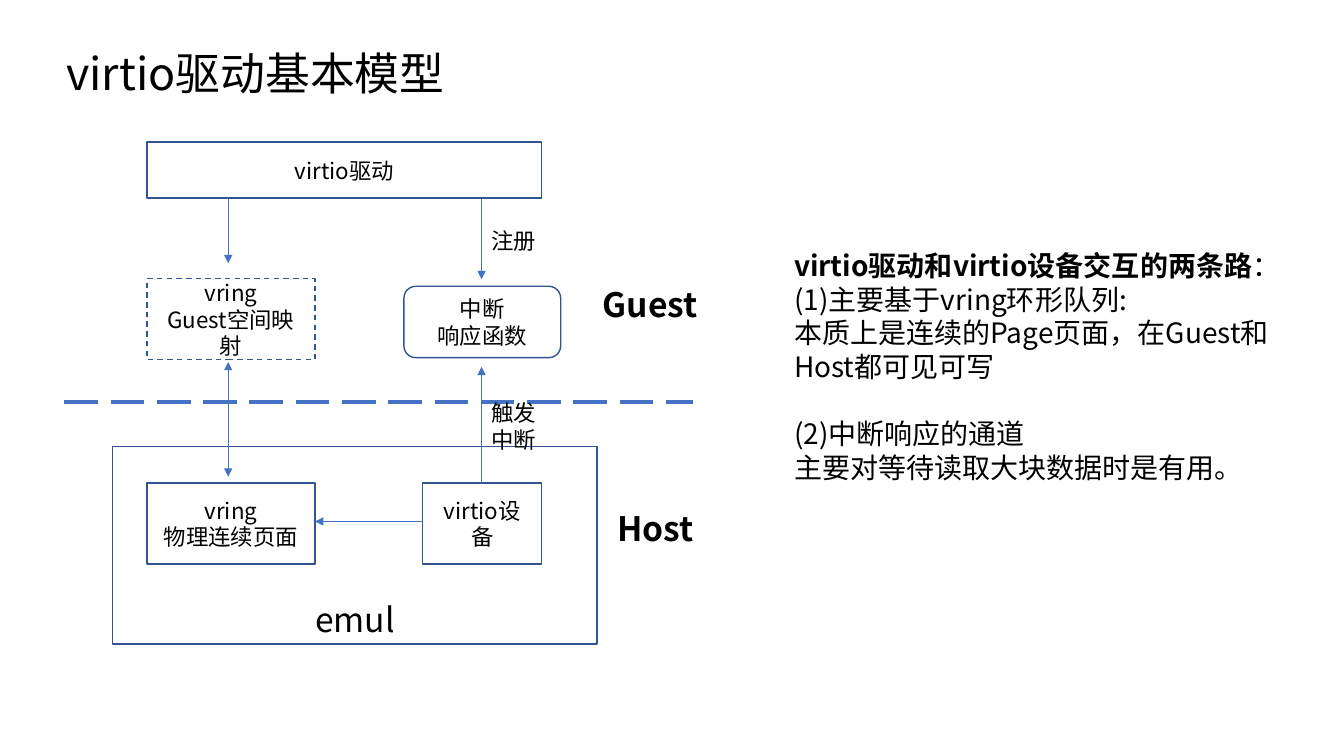
from pptx import Presentation
from pptx.dml.color import RGBColor
from pptx.enum.dml import MSO_LINE as Dash
from pptx.enum.shapes import MSO_CONNECTOR as Link, MSO_SHAPE as Kind
from pptx.enum.text import MSO_ANCHOR as Anchor, MSO_AUTO_SIZE as Fit, PP_ALIGN as Align
from pptx.oxml.ns import qn
from pptx.util import Pt
from lxml.etree import SubElement as Sub

FONT = "Noto Sans CJK SC"
BLACK, WHITE, EDGE, BLUE = "000000", "FFFFFF", "325491", "4472C4"
LEFT, RIGHT = 163, 344  # centre lines of the vring path and the interrupt path


def paint(color, code):
    color.rgb = RGBColor.from_string(code)


def write(shape, text, size, align=Align.LEFT, anchor=Anchor.TOP, bold=False):
    """Set the text of a shape and format every run; a bar splits runs."""
    frame = shape.text_frame
    frame.text = text
    frame.word_wrap = True
    frame.auto_size = Fit.NONE
    frame.vertical_anchor = anchor
    for par in frame.paragraphs:
        par.alignment = align
        par.space_before = Pt(0)
        first, *rest = par.text.split("|")
        par.text = first
        for part in rest:
            par.add_run().text = part
        for run in par.runs:
            run.font.size = Pt(size)
            run.font.bold = bold
            run.font.name = FONT
            paint(run.font.color, BLACK)
            Sub(run.font._element, qn("a:ea"), typeface=FONT)


deck = Presentation()
deck.slide_width, deck.slide_height = Pt(960), Pt(540)
slide = deck.slides.add_slide(deck.slide_layouts[1])
shapes = slide.shapes

# Title and explanation
title, body = slide.placeholders
places = [(title, 40, 29, 386, 46), (body, 560, 174, 381, 177)]
for shape, x, y, w, h in places:
    shape.left, shape.top, shape.width, shape.height = Pt(x), Pt(y), Pt(w), Pt(h)
write(title, "virtio驱动基本模型", 32)

lines = [
    "virtio驱动和virtio设备交互的两条路|：",
    "(1)主要基于vring环形队列:",
    "本质上是连续的Page页面，在Guest和Host都可见可写",
    "(2)中断响应的通道",
    "主要对等待读取大块数据时是有用。",
]
write(body, "\n".join(lines), 20)
pars = body.text_frame.paragraphs
for par in pars:
    props = par._p.get_or_add_pPr()
    props.set("marL", "0")
    props.set("indent", "0")
    Sub(props, qn("a:buNone"))
pars[0].runs[0].font.bold = True
pars[3].space_before = Pt(24)

# Boxes, from back to front
boxes = [
    ("emul", 80.5, 319, 346, 141, 24, Kind.RECTANGLE),
    ("virtio设备", 302, 345, 85, 58, 16, Kind.RECTANGLE),
    ("virtio驱动", 105, 101.5, 282, 40, 16, Kind.RECTANGLE),
    ("vring\n物理连续页面", 105, 345, 120, 58, 16, Kind.RECTANGLE),
    ("vring\nGuest空间映射", 105, 199, 120, 58, 16, Kind.RECTANGLE),
    ("中断\n响应函数", 288.5, 204.5, 112, 51, 16, Kind.ROUNDED_RECTANGLE),
]
for text, x, y, w, h, size, kind in boxes:
    box = shapes.add_shape(kind, Pt(x), Pt(y), Pt(w), Pt(h))
    box.shadow.inherit = False
    box.fill.solid()
    paint(box.fill.fore_color, WHITE)
    paint(box.line.color, EDGE)
    box.line.width = Pt(1)
    if "Guest" in text:
        box.line.dash_style = Dash.DASH
    anchor = Anchor.BOTTOM if size == 24 else Anchor.MIDDLE
    write(box, text, size, Align.CENTER, anchor)

# Arrows and the border between guest and host
links = [
    (LEFT, 258.5, LEFT, 340.5, ["headEnd", "tailEnd"]),
    (LEFT, 142, LEFT, 188, ["tailEnd"]),
    (302, 372.5, 225, 372.5, ["tailEnd"]),
    (RIGHT, 142, RIGHT, 199.5, ["tailEnd"]),
    (RIGHT, 345, RIGHT, 262, ["tailEnd"]),
    (46, 287, 495, 287, []),
]
for x1, y1, x2, y2, ends in links:
    link = shapes.add_connector(Link.STRAIGHT, Pt(x1), Pt(y1), Pt(x2), Pt(y2))
    paint(link.line.color, BLUE)
    link.line.width = Pt(0.5 if ends else 3)
    if not ends:
        link.line.dash_style = Dash.LONG_DASH
    for end in ends:
        Sub(link.line._get_or_add_ln(), qn("a:" + end), type="triangle")
    Sub(link._element.spPr, qn("a:effectLst"))

# Labels
labels = [
    ("Host", 418, 359, 100, 36, 24, Align.CENTER),
    ("Guest", 414.5, 199, 100, 36, 24, Align.CENTER),
    ("注册", RIGHT, 159, 58, 27, 16, Align.LEFT),
    ("触发中断", RIGHT, 281.5, 58, 46, 16, Align.LEFT),
]
for text, x, y, w, h, size, align in labels:
    label = shapes.add_textbox(Pt(x), Pt(y), Pt(w), Pt(h))
    write(label, text, size, align, bold=size == 24)

deck.save("out.pptx")
